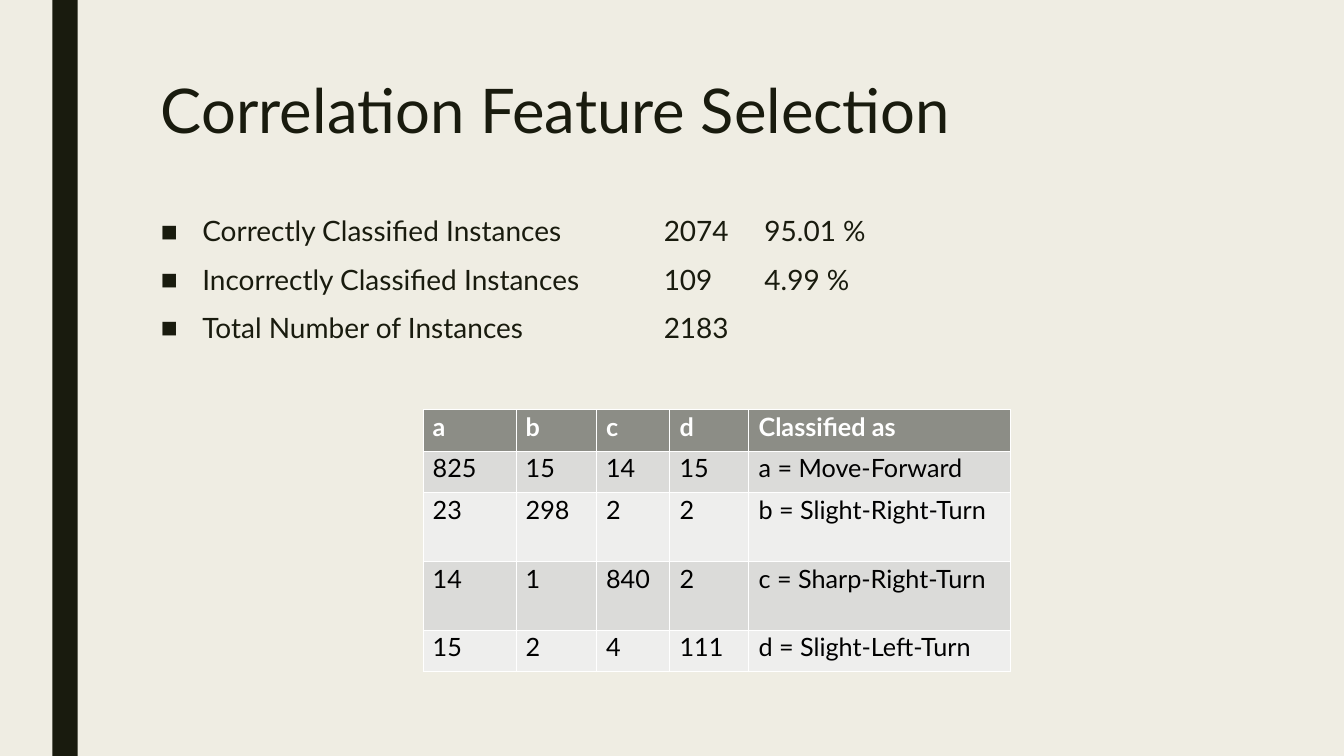
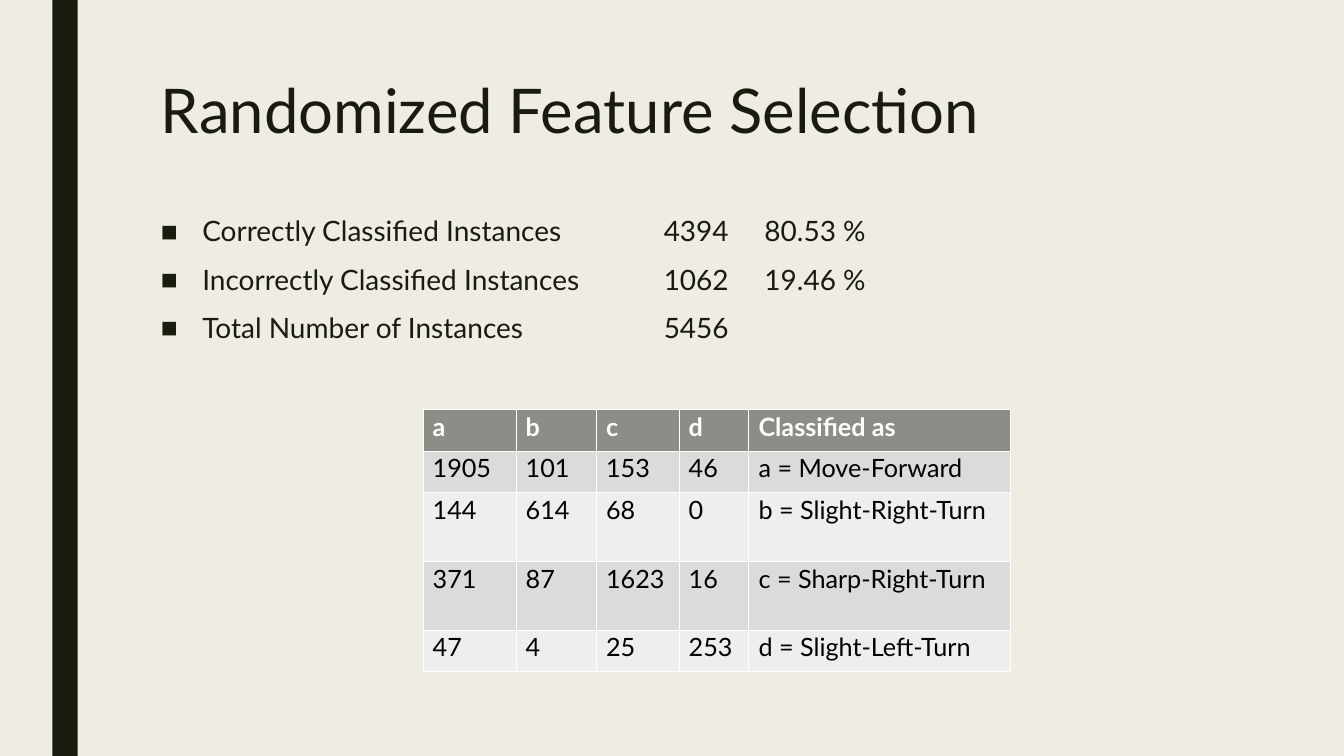
from lxml import etree
from pptx import Presentation
from pptx import util as u
from pptx.dml.color import RGBColor
from pptx.enum import shapes
from pptx.oxml import ns

Pt = u.Pt

# Shared look
COLORS = {
    "background": "EFEDE3",
    "dark": "191B0E",
    "header": "8C8D86",
    "odd_row": "DBDBD9",
    "even_row": "EEEEED",
    "white": "FFFFFF",
    "black": "000000",
}
FONT = "Lato"
TITLE_FONT = {"name": FONT, "size": Pt(44), "bold": False}
BODY_FONT = {"name": FONT, "size": Pt(20), "bold": False}
CELL_FONT = {"name": FONT, "size": Pt(18), "bold": False}
HEADER_FONT = {**CELL_FONT, "bold": True}

TITLE_PARAGRAPH = {"line_spacing": 0.89}
CELL_PARAGRAPH = {"line_spacing": 0.9}
BODY_PARAGRAPH = {"line_spacing": 0.94, "space_before": Pt(10), "space_after": Pt(2)}

BODY_INDENT = Pt(29.5)
BODY_TABS = (Pt(359.3), Pt(431.3))
THIN, THICK = Pt(0.11), Pt(0.34)

# Content
LABELS = ("Correctly Classified Instances", "Incorrectly Classified Instances",
          "Total Number of Instances")
HEADERS = ("a", "b", "c", "d", "Classified as")
CLASSES = ("a = Move-Forward", "b = Slight-Right-Turn",
           "c = Sharp-Right-Turn", "d = Slight-Left-Turn")
ROW_HEIGHTS = (29.6, 29.6, 49.2, 49.2, 29.6)
RESULTS = (
    {
        "title": "Correlation Feature Selection",
        "figures": (("2074", "95.01 %"), ("109", "4.99 %"), ("2183",)),
        "matrix": ((825, 15, 14, 15), (23, 298, 2, 2), (14, 1, 840, 2), (15, 2, 4, 111)),
        "widths": (66.5, 57.5, 52.5, 56.5, 187),
    },
    {
        "title": "Randomized Feature Selection",
        "figures": (("4394", "80.53 %"), ("1062", "19.46 %"), ("5456",)),
        "matrix": ((1905, 101, 153, 46), (144, 614, 68, 0),
                   (371, 87, 1623, 16), (47, 4, 25, 253)),
        "widths": (66.5, 57.5, 59, 50, 187),
    },
)


def color(name):
    return RGBColor.from_string(COLORS[name])


def add_child(parent, tag, **attributes):
    child = etree.SubElement(parent, ns.qn(tag))
    for key, value in attributes.items():
        child.set(key, str(value))
    return child


def write(paragraph, content, font, paragraph_format, color_name):
    run = paragraph.add_run()
    run.text = content
    for key, value in font.items():
        setattr(run.font, key, value)
    run.font.color.rgb = color(color_name)
    for key, value in paragraph_format.items():
        setattr(paragraph, key, value)


def set_up_master(presentation, slide):
    """Put the background and the side bar on the master."""
    master = presentation.slide_master
    master.background.fill.solid()
    master.background.fill.fore_color.rgb = color("background")
    bar = slide.shapes.add_shape(shapes.MSO_SHAPE.RECTANGLE,
                                 Pt(37.5), 0, Pt(18), presentation.slide_height)
    bar.shadow.inherit = False
    bar.fill.solid()
    bar.fill.fore_color.rgb = color("dark")
    bar.line.fill.background()
    bar.element.nvSpPr.cNvPr.set("id", "100")
    master.shapes.element.append(bar.element)


def add_text_frame(slide, top, height):
    frame = slide.shapes.add_textbox(Pt(108), Pt(top), Pt(756), Pt(height)).text_frame
    frame.word_wrap = True
    return frame


def add_title(slide, title):
    frame = add_text_frame(slide, 54, 117)
    write(frame.paragraphs[0], title, TITLE_FONT, TITLE_PARAGRAPH, "dark")


def add_bullet(paragraph):
    """Add a square bullet, a hanging indent and the tab stops."""
    properties = paragraph._p.get_or_add_pPr()
    properties.set("marL", str(BODY_INDENT))
    properties.set("indent", str(-BODY_INDENT))
    bullet_color = add_child(properties, "a:buClr")
    add_child(bullet_color, "a:srgbClr", val=COLORS["dark"])
    add_child(properties, "a:buFont", typeface="Arial")
    add_child(properties, "a:buChar", char="■")
    tabs = add_child(properties, "a:tabLst")
    for position in BODY_TABS:
        add_child(tabs, "a:tab", pos=position, algn="l")


def add_summary(slide, figures):
    frame = add_text_frame(slide, 151.2, 120)
    for index, (label, values) in enumerate(zip(LABELS, figures)):
        paragraph = frame.add_paragraph() if index else frame.paragraphs[0]
        write(paragraph, "\t".join((label, *values)), BODY_FONT, BODY_PARAGRAPH, "dark")
        add_bullet(paragraph)


def add_borders(cell, row):
    widths = {"L": THIN, "R": THIN,
              "T": THICK if row == 1 else THIN,
              "B": THICK if row == 0 else THIN}
    properties = cell._tc.get_or_add_tcPr()
    for side, width in widths.items():
        line = add_child(properties, f"a:ln{side}", w=width)
        fill = add_child(line, "a:solidFill")
        add_child(fill, "a:srgbClr", val=COLORS["white"])


def add_matrix(slide, matrix, widths):
    rows = [HEADERS] + [(*counts, name) for counts, name in zip(matrix, CLASSES)]
    table = slide.shapes.add_table(len(rows), len(HEADERS), Pt(302), Pt(292.5),
                                   Pt(sum(widths)), Pt(sum(ROW_HEIGHTS))).table
    for column, width in zip(table.columns, widths):
        column.width = Pt(width)
    for row, values in enumerate(rows):
        table.rows[row].height = Pt(ROW_HEIGHTS[row])
        if row == 0:
            font, ink, fill = HEADER_FONT, "white", "header"
        else:
            font, ink, fill = CELL_FONT, "black", "odd_row" if row % 2 else "even_row"
        for column, value in enumerate(values):
            cell = table.cell(row, column)
            add_borders(cell, row)
            cell.fill.solid()
            cell.fill.fore_color.rgb = color(fill)
            write(cell.text_frame.paragraphs[0], str(value), font, CELL_PARAGRAPH, ink)


def main():
    presentation = Presentation()
    presentation.slide_width, presentation.slide_height = Pt(960.5), Pt(540)
    blank = presentation.slide_layouts[6]
    for number, result in enumerate(RESULTS):
        slide = presentation.slides.add_slide(blank)
        if number == 0:
            set_up_master(presentation, slide)
        add_title(slide, result["title"])
        add_matrix(slide, result["matrix"], result["widths"])
        add_summary(slide, result["figures"])
    presentation.save("out.pptx")


if __name__ == "__main__":
    main()
